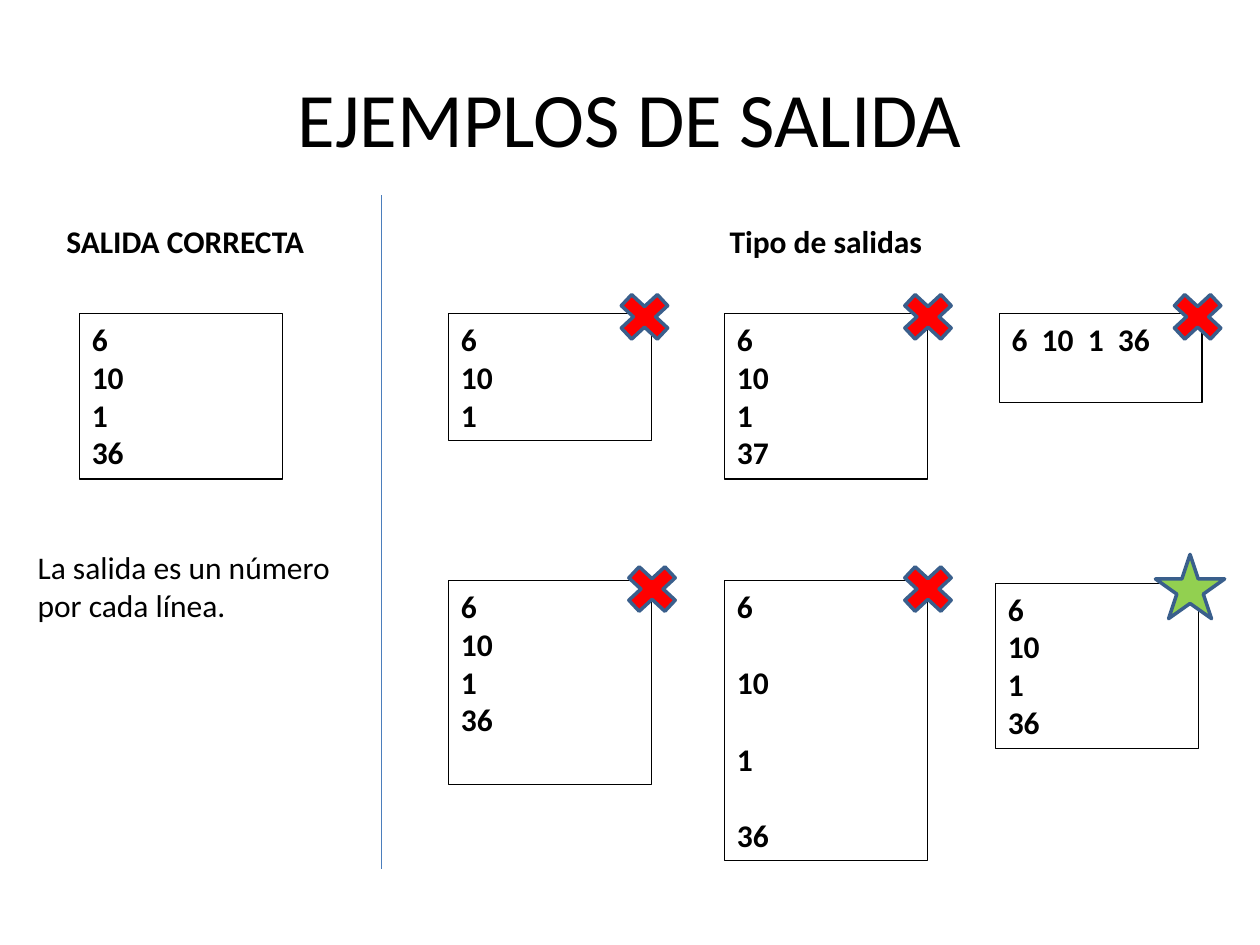
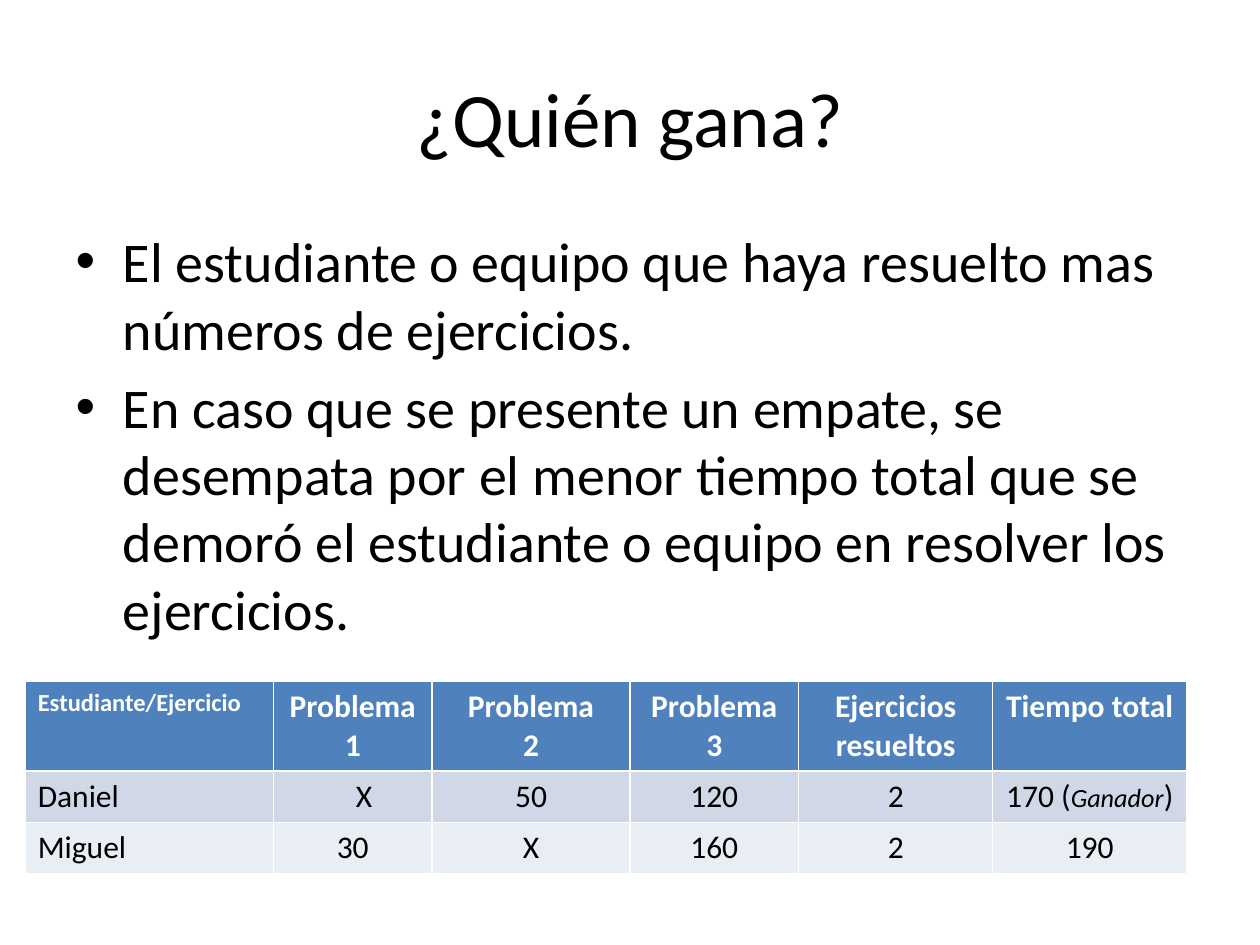
"""Builds two slides: sample outputs of an exercise, and how the winner is decided."""
from dataclasses import dataclass

from lxml import etree
from pptx import Presentation
from pptx import util as u
from pptx.dml.color import RGBColor
from pptx.enum import shapes, text
from pptx.oxml.ns import qn


@dataclass(frozen=True)
class Theme:
    """Colours, font and type sizes shared by both slides."""
    font: str = "Calibri"
    ink: str = "000000"
    white: str = "FFFFFF"
    divider: str = "4B7EBC"
    mark_line: str = "3A5F8C"
    wrong: str = "FF0000"
    right: str = "92D050"
    header: str = "4F81BD"
    bands: tuple = ("D0D8E8", "E9EDF4")
    title: int = 44
    body: int = 32
    label: int = 18
    winner: int = 15
    corner: int = 14


THEME = Theme()
CENTER = text.PP_ALIGN.CENTER
CROSS, STAR = shapes.MSO_SHAPE.MATH_MULTIPLY, shapes.MSO_SHAPE.STAR_5_POINT

OUTPUT_TITLE = "EJEMPLOS DE SALIDA"
CAPTIONS = [
    ("SALIDA CORRECTA", (0.33, 1.71, 2.28, 0.4), True, CENTER),
    ("Tipo de salidas", (4.37, 1.71, 4.37, 0.4), True, CENTER),
    ("La salida es un número por cada línea.", (0.2, 4.3, 2.68, 0.71), False, None),
]
DIVIDER = (3.03, 1.55, 3.03, 6.9)
CORRECT = ["6", "10", "1", "36"]
BOX_WIDTH, LINE_HEIGHT, BOX_PADDING = 1.61, 0.303, 0.1
MARK_SIZE = (0.55, 0.51)
BLANK_LINE = 22
# fields: left, top, lines, rows of height, gap between lines, mark (kind, left, top)
SAMPLES = [
    (0.63, 2.49, CORRECT, 4, 0, None),
    (3.56, 2.49, ["6", "10", "1"], 3, 0, (CROSS, 4.84, 2.26)),
    (5.75, 2.49, ["6", "10", "1", "37"], 4, 0, (CROSS, 7.09, 2.26)),
    (7.93, 2.49, ["6  10  1  36"], 2, 0, (CROSS, 9.23, 2.26)),
    (3.56, 4.61, CORRECT, 5, 0, (CROSS, 4.9, 4.42)),
    (5.75, 4.61, CORRECT, 7, BLANK_LINE, (CROSS, 7.09, 4.42)),
    (7.9, 4.63, CORRECT, 4, 0, (STAR, 9.17, 4.4)),
]

WINNER_TITLE = "¿Quién gana?"
RULES = [
    "El estudiante o equipo que haya resuelto mas números de ejercicios.",
    "En caso que se presente un empate, se desempata por el menor tiempo total "
    "que se demoró el estudiante o equipo en resolver los ejercicios.",
]
RULES_AT = (0.5, 1.75, 9, 4.6)
SCORES = [
    ["Estudiante/Ejercicio", "Problema 1", "Problema\n2", "Problema\n3",
     "Ejercicios\nresueltos", "Tiempo total"],
    ["Daniel", "X", "50", "120", "2", ("170 (", "Ganador", ")")],
    ["Miguel", "30", "X", "160", "2", "190"],
]
SCORES_AT = (0.2, 5.41)
COLUMN_WIDTHS = [1.97, 1.26, 1.57, 1.34, 1.54, 1.54]
ROW_HEIGHTS = [0.71, 0.4, 0.4]
SHIFTED_CELL, SHIFTED_MARGIN = (1, 1), 0.28


def inches(*lengths):
    return [u.Inches(length) for length in lengths]


def rgb(colour):
    return RGBColor.from_string(colour)


def style(frame, size, colour=THEME.ink, bold=None, align=None):
    for paragraph in frame.paragraphs:
        font = paragraph.font
        font.name, font.size, font.bold = THEME.font, u.Pt(size), bold
        font.color.rgb = rgb(colour)
        paragraph.alignment = align


def new_slide(deck, layout, title):
    slide = deck.slides.add_slide(deck.slide_layouts[layout])
    slide.shapes.title.text = title
    style(slide.shapes.title.text_frame, THEME.title, align=CENTER)
    return slide


def outline(shape, colour, width):
    shape.line.color.rgb = rgb(colour)
    shape.line.width = u.Pt(width)


def add_caption(slide, words, place, bold, align):
    frame = slide.shapes.add_textbox(*inches(*place)).text_frame
    frame.word_wrap = True
    frame.text = words
    style(frame, THEME.label, bold=bold, align=align)


def add_sample(slide, left, top, lines, rows, gap):
    height = BOX_PADDING + LINE_HEIGHT * rows
    sample = slide.shapes.add_shape(
        shapes.MSO_SHAPE.RECTANGLE, *inches(left, top, BOX_WIDTH, height))
    sample.shadow.inherit = False
    sample.fill.background()
    outline(sample, THEME.ink, 0.75)
    frame = sample.text_frame
    frame.vertical_anchor = text.MSO_ANCHOR.TOP
    frame.text = "\n".join(lines)
    style(frame, THEME.label, bold=True, align=text.PP_ALIGN.LEFT)
    for paragraph in frame.paragraphs[1:]:
        paragraph.space_before = u.Pt(gap)


def add_mark(slide, kind, left, top):
    mark = slide.shapes.add_shape(kind, *inches(left, top, *MARK_SIZE))
    mark.shadow.inherit = False
    mark.fill.solid()
    mark.fill.fore_color.rgb = rgb(THEME.right if kind == STAR else THEME.wrong)
    outline(mark, THEME.mark_line, 2)


def build_outputs(deck):
    slide = new_slide(deck, 5, OUTPUT_TITLE)
    divider = slide.shapes.add_connector(shapes.MSO_CONNECTOR.STRAIGHT, *inches(*DIVIDER))
    outline(divider, THEME.divider, 0.75)
    etree.SubElement(divider._element.spPr, qn("a:effectLst"))
    for caption in CAPTIONS:
        add_caption(slide, *caption)
    for *sample, _ in SAMPLES:
        add_sample(slide, *sample)
    for *_, mark in SAMPLES:
        if mark:
            add_mark(slide, *mark)


def fill_cell(cell, content, row, column):
    is_header = row == 0
    cell.fill.solid()
    cell.fill.fore_color.rgb = rgb(THEME.header if is_header else THEME.bands[row - 1])
    frame = cell.text_frame
    if isinstance(content, tuple):
        runs = [frame.paragraphs[0].add_run() for _ in content]
        for run, words in zip(runs, content):
            run.text = words
        runs[1].font.size, runs[1].font.italic = u.Pt(THEME.winner), True
    else:
        frame.text = content
    style(frame, THEME.corner if is_header and column == 0 else THEME.label,
          THEME.white if is_header else THEME.ink, is_header, CENTER if column else None)


def build_winner(deck):
    slide = new_slide(deck, 1, WINNER_TITLE)
    rules = slide.placeholders[1]
    rules.left, rules.top, rules.width, rules.height = inches(*RULES_AT)
    rules.text_frame.text = "\n".join(RULES)
    style(rules.text_frame, THEME.body)

    scores = slide.shapes.add_table(
        len(SCORES), len(COLUMN_WIDTHS),
        *inches(*SCORES_AT, sum(COLUMN_WIDTHS), sum(ROW_HEIGHTS))).table
    for column, width in zip(scores.columns, COLUMN_WIDTHS):
        column.width = u.Inches(width)
    for row, height in zip(scores.rows, ROW_HEIGHTS):
        row.height = u.Inches(height)
    for r, record in enumerate(SCORES):
        for c, content in enumerate(record):
            fill_cell(scores.cell(r, c), content, r, c)
    scores.cell(*SHIFTED_CELL).margin_left = u.Inches(SHIFTED_MARGIN)


def main():
    deck = Presentation()
    deck.slide_width, deck.slide_height = inches(10, 7.5)
    build_outputs(deck)
    build_winner(deck)
    deck.save("out.pptx")


if __name__ == "__main__":
    main()
